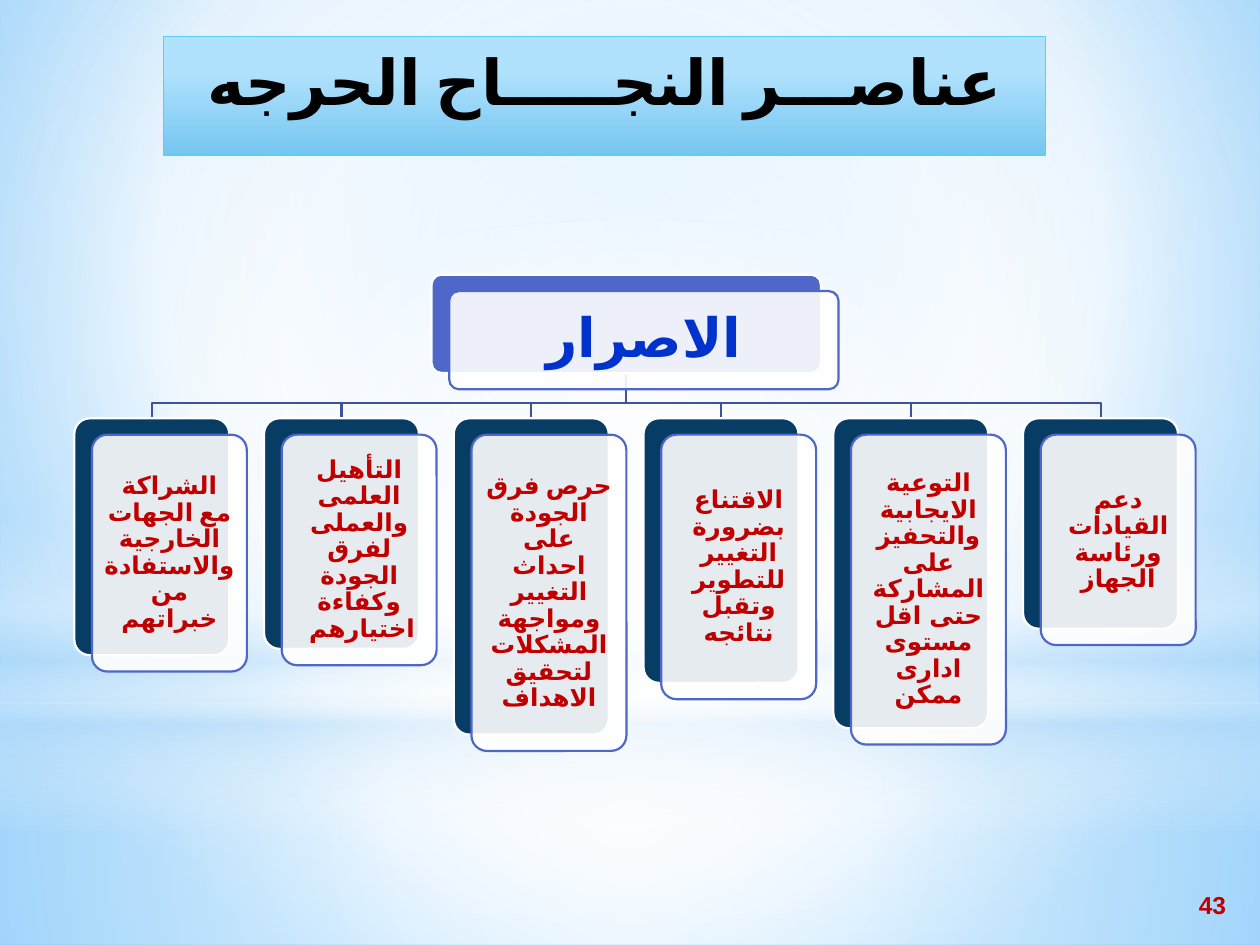
import pptx
import pptx.util
from lxml import etree
from pptx.dml.color import RGBColor
from pptx.enum.shapes import MSO_SHAPE
from pptx.enum.text import MSO_ANCHOR, MSO_AUTO_SIZE, PP_ALIGN
from pptx.oxml.ns import qn
from pptx.util import Inches

COLORS = {
    "white": "FFFFFF", "sky": "B4DCFA", "bg_core": "9ED5FF", "bg_edge": "5BB9FF",
    "title_top": "B1E2FD", "title_bottom": "76C6F1", "title_line": "5ECCF3",
    "title_text": "000000", "indigo": "4E67C8", "navy": "073C65",
    "branch": "3E52A0", "root_text": "0033CC", "red": "C00000",
}
CENTER = (50, 50, 50, 50)

FACTORS = [  # text, card height, font
    ("الشراكة مع الجهات الخارجية والاستفادة من خبراتهم", 1.88, "Lato"),
    ("التأهيل العلمى والعملى لفرق الجودة وكفاءة اختيارهم ", 1.83, "Lato"),
    ("حرص فرق الجودة على احداث التغيير ومواجهة المشكلات لتحقيق الاهداف", 2.51, "Lato"),
    ("الاقتناع بضرورة التغيير للتطوير وتقبل نتائجه", 2.1, "Lato"),
    ("التوعية الايجابية والتحفيز على المشاركة حتى اقل مستوى ادارى ممكن", 2.46,
     "TeX Gyre Bonum"),
    ("دعم القيادات ورئاسة الجهاز", 1.67, "Lato"),
]


def rgb(name):
    return RGBColor.from_string(COLORS[name])


def set_alpha(color_el, percent):
    etree.SubElement(color_el, qn("a:alpha"), val=str(percent * 1000))


def set_gradient(fill, element, stops, to=None):
    """Stops are (position, colour, opacity); circular around `to`, else downward."""
    fill.gradient()
    grad = next(element.iter(qn("a:gradFill")))
    for child in list(grad):
        grad.remove(child)
    gs_list = etree.SubElement(grad, qn("a:gsLst"))
    for pos, color, opacity in stops:
        gs = etree.SubElement(gs_list, qn("a:gs"), pos=str(pos * 1000))
        clr = etree.SubElement(gs, qn("a:srgbClr"), val=COLORS[color])
        if opacity < 100:
            set_alpha(clr, opacity)
    if to:
        shade = etree.SubElement(grad, qn("a:path"), {"path": "circle"})
        sides = {side: str(v * 1000) for side, v in zip("ltrb", to)}
        etree.SubElement(shade, qn("a:fillToRect"), sides)
    else:
        etree.SubElement(grad, qn("a:lin"), ang="5400000", scaled="0")


def set_line(sp, color, width):
    sp.line.color.rgb = rgb(color)
    sp.line.width = pptx.util.Pt(width)


def write_text(tf, text, size, color, font="Lato", align=PP_ALIGN.CENTER):
    tf.word_wrap = True
    tf.auto_size = MSO_AUTO_SIZE.NONE
    p = tf.paragraphs[0]
    p.alignment = align
    p._p.get_or_add_pPr().set("rtl", "1")
    r = p.add_run()
    r.text = text
    r.font.size = pptx.util.Pt(size)
    r.font.bold = True
    r.font.color.rgb = rgb(color)
    r.font.name = font
    # Arabic script takes its language and complex-script font from here
    r.font._element.set("lang", "ar-EG")
    etree.SubElement(r.font._element, qn("a:cs"), typeface=font)
    return p


def add_background(s):
    set_gradient(s.background.fill, s._element,
                 [(0, "bg_core", 100), (60, "white", 100), (100, "bg_edge", 100)],
                 (20, 10, 20, 60))
    layers = [
        (MSO_SHAPE.RECTANGLE, 5.58, 1.92, CENTER,
         [(0, "white", 91), (37, "white", 76), (100, "sky", 79)]),
        (MSO_SHAPE.RECTANGLE, 0, 5.58, CENTER,
         [(0, "white", 89), (48, "white", 62), (100, "sky", 79)]),
        (MSO_SHAPE.RECTANGLE, 4.12, 2.5, None,
         [(0, "white", 0), (29, "white", 30), (45, "sky", 40),
          (55, "white", 26), (65, "sky", 60), (100, "white", 0)]),
        (MSO_SHAPE.OVAL, 1.75, 5.58, CENTER,
         [(0, "white", 100), (56, "white", 0)]),
    ]
    for kind, top, height, to, stops in layers:
        sp = s.shapes.add_shape(kind, 0, Inches(top), Inches(10), Inches(height))
        sp.shadow.inherit = False
        sp.line.fill.background()
        set_gradient(sp.fill, sp._element, stops, to)


def add_title(s, x, y, w, h):
    sp = s.shapes.title
    s.shapes._spTree.append(sp._element)  # bring in front of the background
    sp.left, sp.top, sp.width, sp.height = map(Inches, (x, y, w, h))
    set_gradient(sp.fill, sp._element,
                 [(28, "title_top", 100), (100, "title_bottom", 100)])
    set_line(sp, "title_line", 0.75)
    sp.text_frame.vertical_anchor = MSO_ANCHOR.TOP
    write_text(sp.text_frame, "عناصـــر النجـــــاح الحرجه", 36, "title_text")


def add_branch(s, x1, y1, x2, y2):
    """Draw a stem down from the root, across and down to a card."""
    bend = y2 - 0.12
    fb = s.shapes.build_freeform(Inches(x1), Inches(y1))
    fb.add_line_segments([(Inches(x), Inches(y)) for x, y in
                          ((x1, bend), (x2, bend), (x2, y2))], close=False)
    sp = fb.convert_to_shape()
    sp.shadow.inherit = False
    sp.fill.background()
    set_line(sp, "branch", 1.25)


def add_card(s, x, y, w, h, back, text, size, color, inset, font="Lato"):
    """Draw a solid card and a translucent one shifted over it with the text."""
    for dx, dy, fill, line in ((0, 0, back, "white"), (0.14, 0.13, "white", "indigo")):
        sp = s.shapes.add_shape(MSO_SHAPE.ROUNDED_RECTANGLE, Inches(x + dx),
                                Inches(y + dy), Inches(w), Inches(h))
        sp.adjustments[0] = 0.1
        sp.shadow.inherit = False
        sp.fill.solid()
        sp.fill.fore_color.rgb = rgb(fill)
        set_line(sp, line, 1.25)
    set_alpha(next(sp._element.spPr.iter(qn("a:srgbClr"))), 90)
    tf = sp.text_frame
    tf.vertical_anchor = MSO_ANCHOR.MIDDLE
    tf.margin_left = tf.margin_right = tf.margin_top = tf.margin_bottom = Inches(inset)
    write_text(tf, text, size, color, font).line_spacing = 0.9


def add_hierarchy(s, x, y, w):
    card_w, root_w, root_h = 1.23, 3.09, 0.78
    step = (w - card_w) / (len(FACTORS) - 1)
    center = x + w / 2
    root_bottom, card_top = y + root_h, y + 1.14
    lefts = [x + i * step for i in range(len(FACTORS))]
    for left in lefts:
        add_branch(s, center, root_bottom, left + card_w / 2, card_top)
    add_card(s, center - root_w / 2, y, root_w, root_h, "indigo",
             "الاصرار", 31, "root_text", 0.13)
    for left, (text, height, font) in zip(lefts, FACTORS):
        add_card(s, left, card_top, card_w, height, "navy", text, 14, "red", 0.06, font)


def add_page_number(s, x, y, w, h):
    tf = s.shapes.add_textbox(*map(Inches, (x, y, w, h))).text_frame
    tf.vertical_anchor = MSO_ANCHOR.BOTTOM
    write_text(tf, "43", 14, "red", "Arial", PP_ALIGN.RIGHT)


def main():
    prs = pptx.Presentation()
    prs.slide_width, prs.slide_height = Inches(10), Inches(7.5)
    s = prs.slides.add_slide(prs.slide_layouts[5])
    add_background(s)
    add_title(s, 1.3, 0.29, 7, 0.94)
    add_hierarchy(s, 0.59, 2.18, 8.76)
    add_page_number(s, 9, 7, 0.83, 0.35)
    prs.save("out.pptx")


if __name__ == "__main__":
    main()
